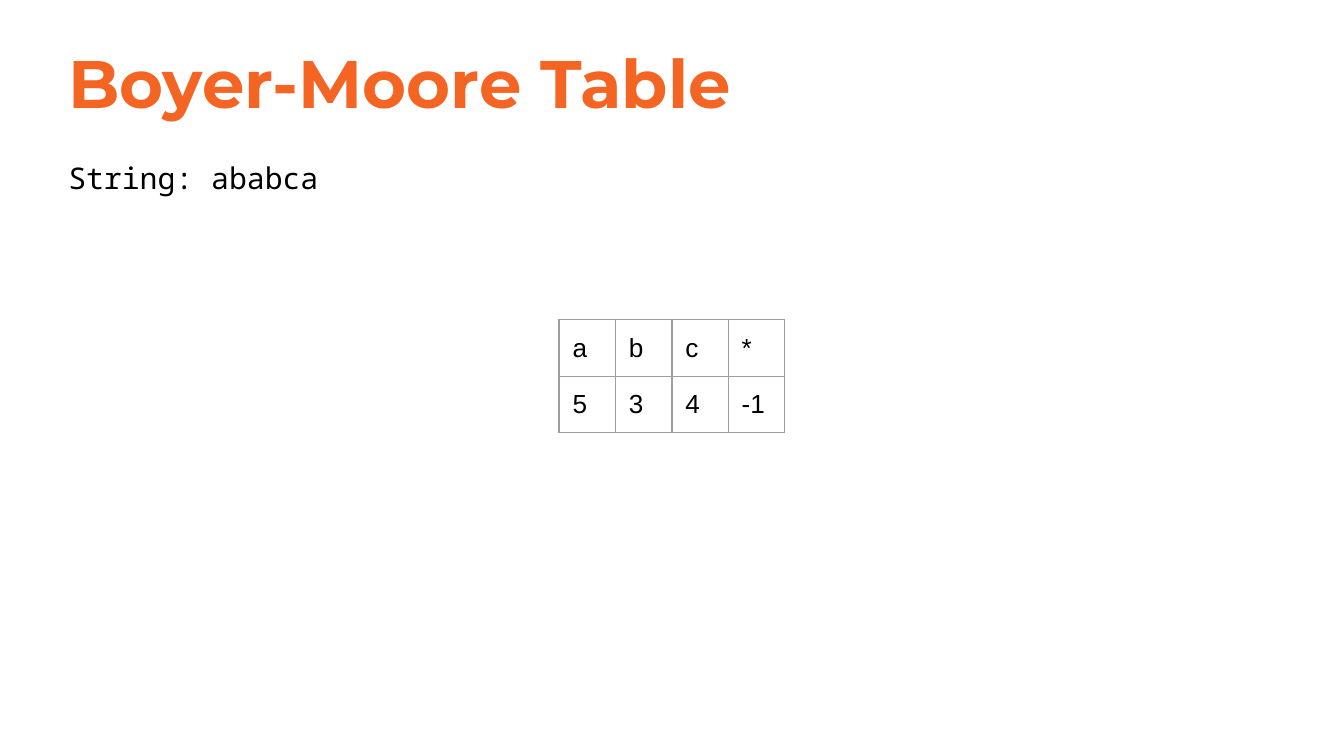
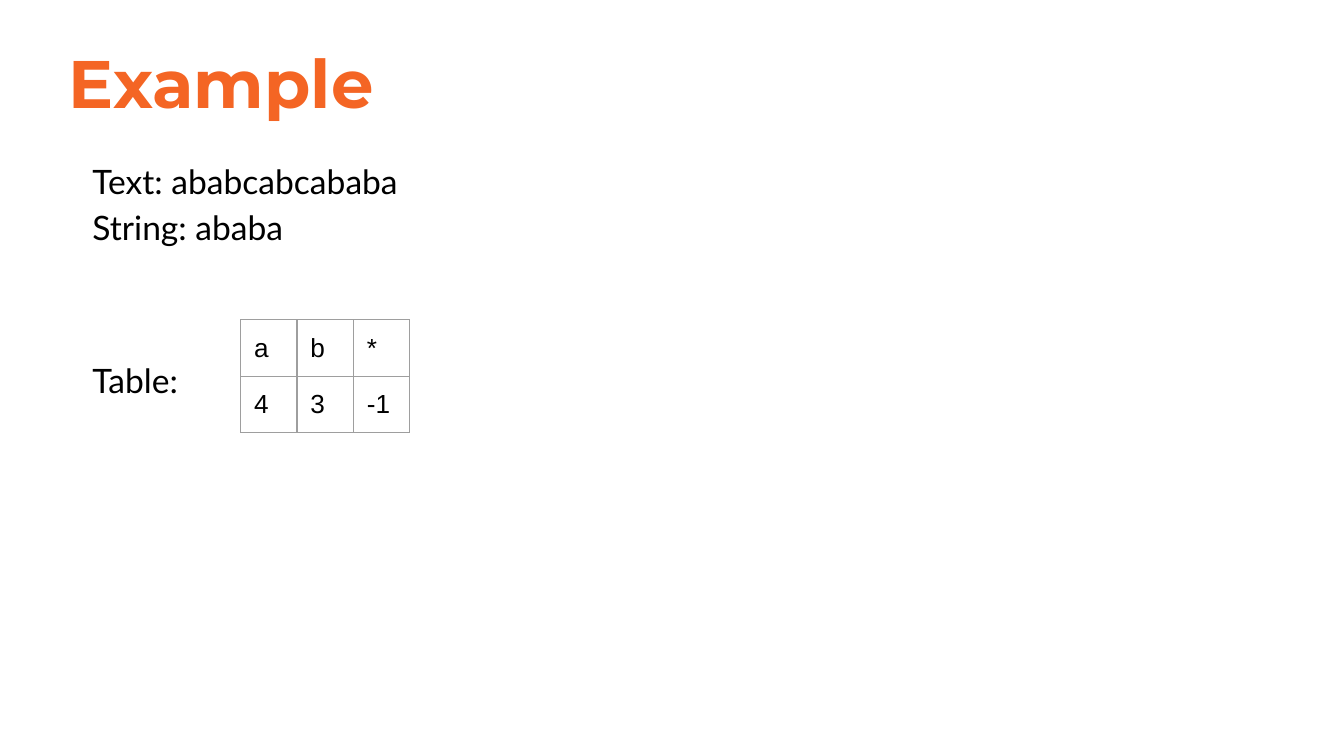
from dataclasses import dataclass

from lxml.etree import SubElement
from pptx import Presentation
from pptx.dml.color import RGBColor
from pptx.enum.text import MSO_ANCHOR, MSO_AUTO_SIZE, PP_ALIGN
from pptx.oxml.ns import qn
from pptx.presentation import Presentation as Deck
from pptx.slide import Slide
from pptx.table import _Cell as Cell
from pptx.text.text import TextFrame
from pptx.util import Inches, Length, Pt


@dataclass(frozen=True)
class TextStyle:
    font: str
    size: Length
    color: RGBColor
    bold: bool = False
    line_spacing: float = 1.0


@dataclass(frozen=True)
class Theme:
    black = RGBColor(0x00, 0x00, 0x00)
    orange = RGBColor(0xF4, 0x65, 0x24)
    border = "9E9E9E"
    border_width = Pt(0.75)
    inset = Inches(0.1)
    cell_size = Inches(0.42)
    table_top = Inches(2.38)
    paragraph_gap = Pt(16)
    title = TextStyle("Montserrat", Pt(36), orange, bold=True)
    code = TextStyle("Noto Sans Mono", Pt(16), black, line_spacing=1.15)
    body = TextStyle("Lato", Pt(18), black, line_spacing=1.15)
    cell = TextStyle("Arial", Pt(14), black)


THEME = Theme()
SLIDE_WIDTH = Inches(10)
SLIDE_HEIGHT = SLIDE_WIDTH * 9 // 16


@dataclass(frozen=True)
class Box:
    left: Length
    top: Length
    width: Length
    height: Length


TITLE_BOX = Box(Inches(0.41), Inches(0.21), Inches(9.17), Inches(0.84))


@dataclass(frozen=True)
class TextBlock:
    box: Box
    paragraphs: list[list[str]]
    style: TextStyle
    gap: Length = THEME.paragraph_gap


@dataclass(frozen=True)
class ShiftTable:
    """Shift distance for each character, with * for all others."""
    left: Length
    shifts: dict[str, int]


@dataclass(frozen=True)
class Page:
    title: str
    text: TextBlock
    table: ShiftTable


PAGES = [
    Page(
        "Boyer-Moore Table",
        TextBlock(
            Box(Inches(0.41), Inches(1.05), Inches(9.17), Inches(4.17)),
            [["String: ababca"]],
            THEME.code,
        ),
        ShiftTable(Inches(4.16), {"a": 5, "b": 3, "c": 4, "*": -1}),
    ),
    Page(
        "Example",
        TextBlock(
            Box(Inches(0.59), Inches(1.05), Inches(8.8), Inches(3.93)),
            [["Text: ababcabcababa", "String: ababa"], ["Table:"]],
            THEME.body,
            gap=Pt(57),
        ),
        ShiftTable(Inches(1.79), {"a": 4, "b": 3, "*": -1}),
    ),
]


def write_text(frame: TextFrame, paragraphs: list[list[str]], *,
               style: TextStyle, gap: Length = Pt(0)) -> None:
    """Fill the frame; each paragraph is a list of lines."""
    for index, lines in enumerate(paragraphs):
        paragraph = frame.add_paragraph() if index else frame.paragraphs[0]
        paragraph.alignment = PP_ALIGN.LEFT
        paragraph.line_spacing = style.line_spacing
        paragraph.space_before = Pt(0)
        paragraph.space_after = gap
        for line_index, line in enumerate(lines):
            if line_index:
                paragraph.add_line_break()
            run = paragraph.add_run()
            run.text = line
            run.font.name = style.font
            run.font.size = style.size
            run.font.bold = style.bold
            run.font.color.rgb = style.color


def format_frame(frame: TextFrame) -> None:
    frame.word_wrap = True
    frame.auto_size = MSO_AUTO_SIZE.NONE
    frame.vertical_anchor = MSO_ANCHOR.TOP
    frame.margin_left = frame.margin_right = THEME.inset
    frame.margin_top = frame.margin_bottom = THEME.inset


def add_title(slide: Slide, title: str) -> None:
    shape = slide.shapes.title
    shape.left, shape.top = TITLE_BOX.left, TITLE_BOX.top
    shape.width, shape.height = TITLE_BOX.width, TITLE_BOX.height
    format_frame(shape.text_frame)
    write_text(shape.text_frame, [[title]], style=THEME.title,
               gap=THEME.paragraph_gap)


def add_text_block(slide: Slide, block: TextBlock) -> None:
    box = block.box
    shape = slide.shapes.add_textbox(box.left, box.top, box.width, box.height)
    format_frame(shape.text_frame)
    write_text(shape.text_frame, block.paragraphs, style=block.style,
               gap=block.gap)


def format_cell(cell: Cell) -> None:
    properties = cell._tc.get_or_add_tcPr()
    for side in ("lnL", "lnR", "lnT", "lnB"):
        line = SubElement(properties, qn(f"a:{side}"), w=str(THEME.border_width))
        fill = SubElement(line, qn("a:solidFill"))
        SubElement(fill, qn("a:srgbClr"), val=THEME.border)
    cell.fill.background()
    cell.vertical_anchor = MSO_ANCHOR.TOP
    cell.margin_left = cell.margin_right = THEME.inset
    cell.margin_top = cell.margin_bottom = THEME.inset


def add_shift_table(slide: Slide, shift_table: ShiftTable) -> None:
    rows = [list(shift_table.shifts), list(shift_table.shifts.values())]
    size = THEME.cell_size
    table = slide.shapes.add_table(
        len(rows), len(rows[0]), shift_table.left, THEME.table_top,
        size * len(rows[0]), size * len(rows),
    ).table
    table.first_row = False
    table.horz_banding = False
    for row_index, row in enumerate(rows):
        for column_index, value in enumerate(row):
            cell = table.cell(row_index, column_index)
            format_cell(cell)
            write_text(cell.text_frame, [[str(value)]], style=THEME.cell)


def add_page(presentation: Deck, page: Page) -> None:
    title_only = presentation.slide_layouts.get_by_name("Title Only")
    slide = presentation.slides.add_slide(title_only)
    add_title(slide, page.title)
    add_text_block(slide, page.text)
    add_shift_table(slide, page.table)


def main() -> None:
    presentation = Presentation()
    presentation.slide_width = SLIDE_WIDTH
    presentation.slide_height = SLIDE_HEIGHT
    for page in PAGES:
        add_page(presentation, page)
    presentation.save("out.pptx")


if __name__ == "__main__":
    main()
